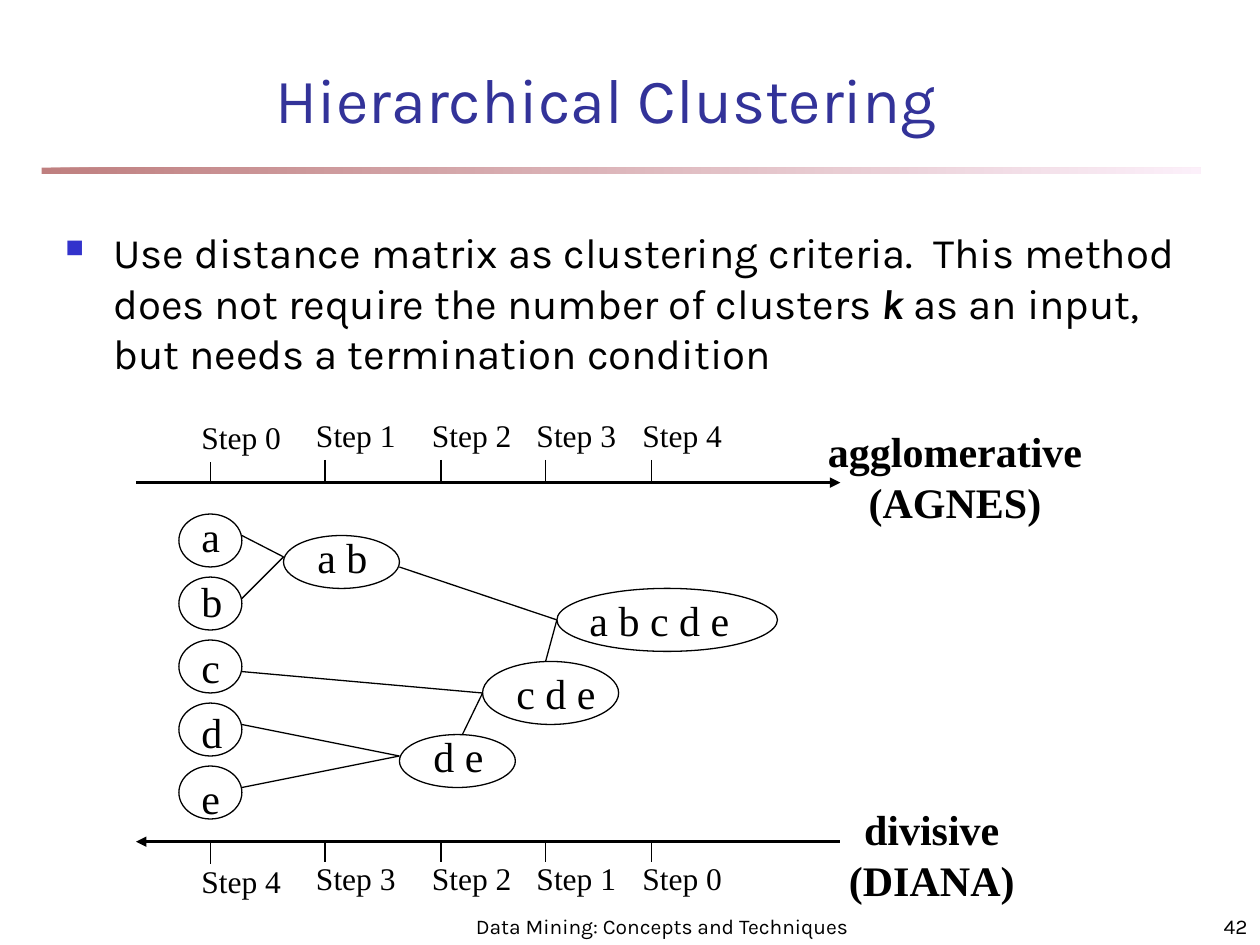
from lxml import etree
from pptx import Presentation
from pptx import util as u
from pptx.dml.color import RGBColor
from pptx.enum import shapes, text
from pptx.oxml.ns import qn

BLACK = RGBColor(0x00, 0x00, 0x00)
TITLE_BLUE = RGBColor(0x33, 0x33, 0x99)
MAROON = RGBColor(0x80, 0x00, 0x00)
PINK = RGBColor(0xFA, 0xE2, 0xF6)
SANS, SERIF = "Karla", "Times New Roman"
LEFT, CENTER, RIGHT = text.PP_ALIGN.LEFT, text.PP_ALIGN.CENTER, text.PP_ALIGN.RIGHT
TOP, MIDDLE, BOTTOM = text.MSO_ANCHOR.TOP, text.MSO_ANCHOR.MIDDLE, text.MSO_ANCHOR.BOTTOM

prs = Presentation()
prs.slide_width, prs.slide_height = u.Inches(10), u.Inches(7.5)
s = prs.slides.add_slide(prs.slide_layouts[6])


def add_text(x, y, w, h, content, size, font=SERIF, color=BLACK, align=LEFT,
             anchor=TOP, bold=False, wrap=True):
    tf = s.shapes.add_textbox(*map(u.Inches, (x, y, w, h))).text_frame
    tf.text = content
    tf.word_wrap = wrap
    if not wrap:
        tf.auto_size = text.MSO_AUTO_SIZE.SHAPE_TO_FIT_TEXT
    tf.vertical_anchor = anchor
    for p in tf.paragraphs:
        p.alignment = align
        for r in p.runs:
            r.font.size, r.font.name, r.font.bold = u.Pt(size), font, bold
            r.font.color.rgb = color
    return tf


def add_line(x1, y1, x2, y2, width=0.75, arrow=None):
    ln = s.shapes.add_connector(shapes.MSO_CONNECTOR.STRAIGHT,
                                *map(u.Inches, (x1, y1, x2, y2)))
    ln.line.color.rgb = BLACK
    ln.line.width = u.Pt(width)
    if arrow:
        etree.SubElement(ln.line._get_or_add_ln(), qn(f"a:{arrow}"), type="triangle")
    etree.SubElement(ln._element.spPr, qn("a:effectLst"))


# Fading rule under the title
sp = s.shapes.add_shape(shapes.MSO_SHAPE.RECTANGLE, u.Inches(0.33), u.Inches(1.33),
                        u.Inches(9.2), u.Inches(0.05))
sp.shadow.inherit = False
sp.line.fill.background()
sp.fill.gradient()
sp.fill.gradient_angle = 0
for stop, color, position in zip(sp.fill.gradient_stops, (MAROON, PINK), (0, 1)):
    stop.color.rgb = color
    stop.position = position
for clr in sp._element.spPr.iter(qn("a:srgbClr")):
    etree.SubElement(clr, qn("a:alpha"), val="50000")

# Footer, page number and title
add_text(3.67, 7.08, 3.17, 0.42, "Data Mining: Concepts and Techniques", 12, SANS,
         align=CENTER, anchor=BOTTOM)
add_text(7.92, 7.08, 2.08, 0.42, "42", 12, SANS, align=RIGHT, anchor=BOTTOM)
add_text(0.82, 0.54, 7.98, 0.48, "Hierarchical Clustering", 36, SANS, TITLE_BLUE,
         CENTER, MIDDLE)

# Bulleted statement
tf = add_text(0.42, 1.75, 9.08, 1.4, "Use distance matrix as clustering criteria.  "
              "This method does not require the number of clusters ", 24, SANS)
p = tf.paragraphs[0]
pPr = p._p.get_or_add_pPr()
pPr.set("marL", str(u.Inches(0.38)))
pPr.set("indent", str(-u.Inches(0.38)))
bullet_color = etree.SubElement(pPr, qn("a:buClr"))
etree.SubElement(bullet_color, qn("a:srgbClr"), val="3333CC")
etree.SubElement(pPr, qn("a:buSzPct"), val="60000")
etree.SubElement(pPr, qn("a:buChar"), char="■")
for content, strong in (("k", True), (" as an input, but needs a termination condition", False)):
    r = p.add_run()
    r.text = content
    r.font.size, r.font.name = u.Pt(24), SANS
    r.font.bold = r.font.italic = strong
    r.font.color.rgb = BLACK

# Step axes: agglomerative runs right, divisive runs left
add_line(1.08, 3.83, 6.67, 3.83, 1.5, "tailEnd")
add_line(1.08, 6.68, 6.67, 6.68, 1.5, "headEnd")
for i, x in enumerate((1.67, 2.58, 3.5, 4.33, 5.17)):
    drop = 0.02 if i == 0 else 0
    for tick_y, label_y, step in ((3.65, 3.25, i), (6.67, 6.77, 4 - i)):
        add_line(x, tick_y + drop, x, tick_y + drop + 0.17)
        add_text(x - 0.17, label_y + drop, 0.83, 0.4, f"Step {step}", 18)

# Clusters: label, ellipse box, label position
clusters = [(name, (1.42, 4.08 + 0.5 * i, 0.5, 0.42), (1.5, 4 + 0.52 * i))
            for i, name in enumerate("abcde")]
clusters += [
    ("a b", (2.25, 4.25, 0.92, 0.42), (2.42, 4.17)),
    ("d e", (3.17, 5.83, 0.92, 0.42), (3.34, 5.75)),
    ("c d e", (3.83, 5.25, 1.08, 0.5), (4, 5.25)),
    ("a b c d e", (4.42, 4.67, 1.75, 0.5), (4.58, 4.67)),
]
for name, box, (x, y) in clusters:
    # Each further letter and its space widen the label by 0.24
    add_text(x, y, 0.38 + 0.24 * name.count(" "), 0.5, name, 24, wrap=False)
    sp = s.shapes.add_shape(shapes.MSO_SHAPE.OVAL, *map(u.Inches, box))
    sp.shadow.inherit = False
    sp.fill.background()
    sp.line.color.rgb = BLACK
    sp.line.width = u.Pt(0.75)

# Merge lines, grouped by the left point of the merged cluster
merges = {
    (2.25, 4.42): [(1.92, 4.25), (1.92, 4.75)],
    (3.17, 6): [(1.92, 5.75), (1.92, 6.25)],
    (3.83, 5.5): [(1.92, 5.33), (3.67, 5.83)],
    (4.42, 4.92): [(3.17, 4.5), (4.33, 5.25)],
}
for target, sources in merges.items():
    for source in sources:
        add_line(*source, *target)

# Method names
for x, y, w, name in ((6.46, 3.33, 2.24, "agglomerative\n(AGNES)"),
                      (6.62, 6.33, 1.55, "divisive\n(DIANA)")):
    add_text(x, y, w, 0.9, name, 24, align=CENTER, bold=True, wrap=False)

prs.save("out.pptx")
